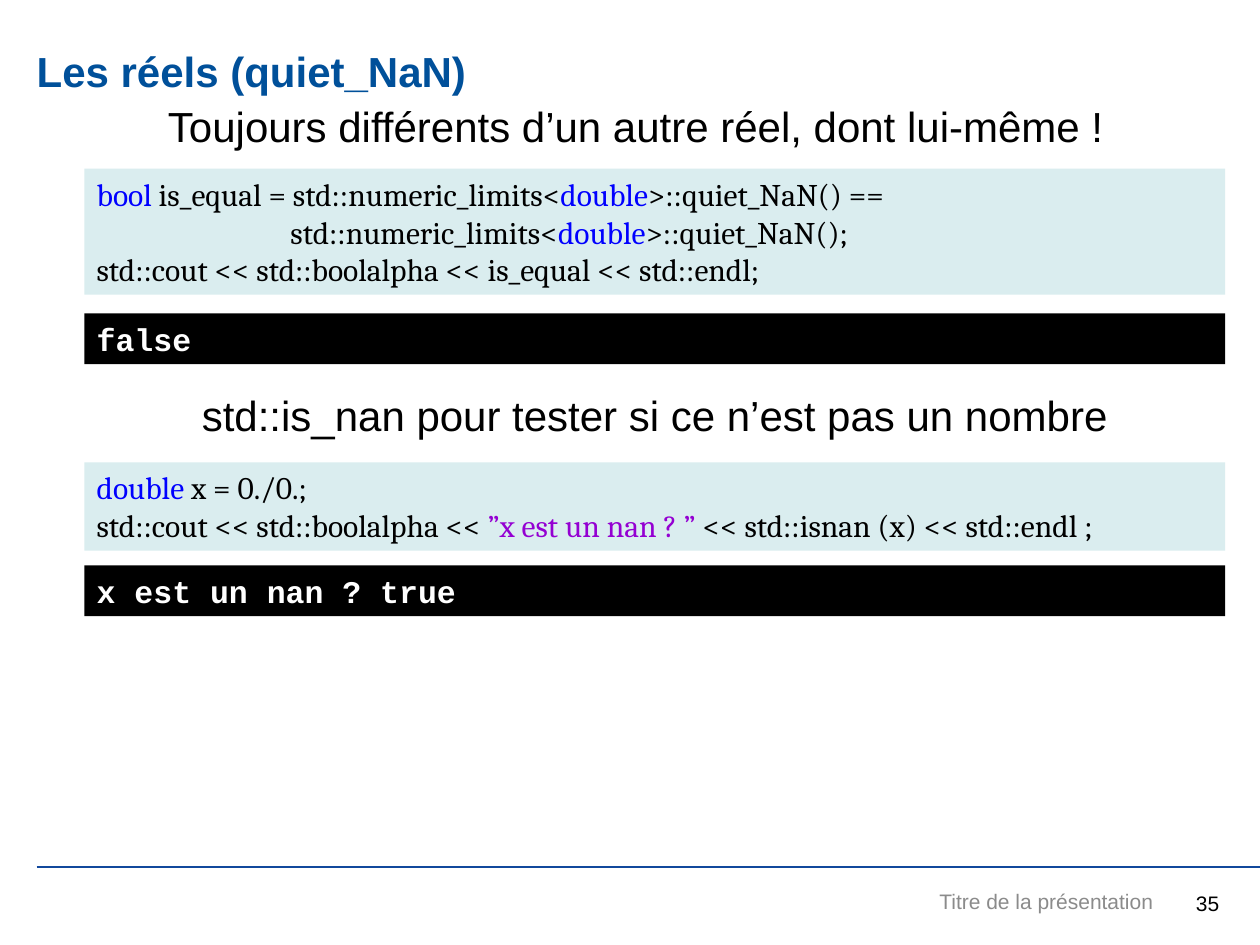
import pptx
import pptx.dml.color
import pptx.enum.shapes
import pptx.enum.text
import pptx.oxml.ns
import pptx.util
from lxml import etree

Cm = pptx.util.Cm
RGBColor = pptx.dml.color.RGBColor
ALIGN = pptx.enum.text.PP_ALIGN
ANCHOR = pptx.enum.text.MSO_ANCHOR

BLACK = RGBColor(0x00, 0x00, 0x00)
WHITE = RGBColor(0xFF, 0xFF, 0xFF)
TITLE_BLUE = RGBColor(0x00, 0x50, 0x9A)
RULE_BLUE = RGBColor(0x11, 0x48, 0x9C)
FOOTER_GREY = RGBColor(0x8B, 0x8B, 0x8B)
CODE_FILL = RGBColor(0xDA, 0xED, 0xEF)
KEYWORD = RGBColor(0x00, 0x00, 0xFF)
LITERAL = RGBColor(0x94, 0x00, 0xD2)

EQUALITY_CODE = [
    [("bool", KEYWORD), (" is_equal = std::numeric_limits<", BLACK),
     ("double", KEYWORD), (">::quiet_NaN() ==", BLACK)],
    [("                            std::numeric_limits<", BLACK),
     ("double", KEYWORD), (">::quiet_NaN();", BLACK)],
    [("std::cout << std::boolalpha << is_equal << std::endl;", BLACK)],
]
ISNAN_CODE = [
    [("double ", KEYWORD), ("x = 0./0.;", BLACK)],
    [("std::cout << std::boolalpha << ", BLACK), ("”x est un nan ? ” ", LITERAL),
     ("<< std::isnan (x) << std::endl ;", BLACK)],
]


def write_lines(frame, lines, size, font, bold=False, align=ALIGN.LEFT, anchor=ANCHOR.TOP):
    frame.word_wrap = True
    frame.vertical_anchor = anchor
    for index, line in enumerate(lines):
        paragraph = frame.paragraphs[0] if index == 0 else frame.add_paragraph()
        paragraph.alignment = align
        for text, color in line:
            run = paragraph.add_run()
            run.text = text
            run.font.size = pptx.util.Pt(size)
            run.font.name = font
            run.font.bold = bold
            run.font.color.rgb = color


def add_label(slide, box, text, size, color, inset=True, **style):
    frame = slide.shapes.add_textbox(*map(Cm, box)).text_frame
    if not inset:
        frame.margin_left = frame.margin_right = 0
        frame.margin_top = frame.margin_bottom = 0
    write_lines(frame, [[(text, color)]], size, "Arial", **style)


def add_panel(slide, box, fill, lines, font, bold=False):
    panel = slide.shapes.add_shape(pptx.enum.shapes.MSO_SHAPE.RECTANGLE, *map(Cm, box))
    panel.shadow.inherit = False
    panel.fill.solid()
    panel.fill.fore_color.rgb = fill
    panel.line.fill.background()
    write_lines(panel.text_frame, lines, 18, font, bold)
    panel.text_frame.auto_size = pptx.enum.text.MSO_AUTO_SIZE.SHAPE_TO_FIT_TEXT


def add_header(slide, left, top, width):
    add_label(slide, (left, top, width, 2.84), "Les réels (quiet_NaN)", 24, TITLE_BLUE,
              inset=False, bold=True, anchor=ANCHOR.MIDDLE)
    add_label(slide, (left, top + 2.03, width - 0.25, 1.19),
              "Toujours différents d’un autre réel, dont lui-même !", 24, BLACK,
              inset=False, align=ALIGN.CENTER)


def add_example(slide, left, top, width, code, code_height, output, output_offset):
    add_panel(slide, (left, top, width, code_height), CODE_FILL, code, "Cambria")
    add_panel(slide, (left, top + output_offset, width, 1.02), BLACK,
              [[(output, WHITE)]], "Courier New", bold=True)


def add_footer(slide, left, top, right):
    rule = slide.shapes.add_connector(
        pptx.enum.shapes.MSO_CONNECTOR.STRAIGHT, Cm(left), Cm(top), Cm(right), Cm(top))
    rule.line.color.rgb = RULE_BLUE
    rule.line.width = pptx.util.Pt(0.75)
    etree.SubElement(rule._element.spPr, pptx.oxml.ns.qn("a:effectLst"))
    add_label(slide, (right - 2.11, top - 0.13, 2.11, 1.7), "35", 12, BLACK,
              align=ALIGN.CENTER, anchor=ANCHOR.MIDDLE)
    add_label(slide, (right - 17.5, top + 0.18, 15.6, 1.02), "Titre de la présentation",
              12, FOOTER_GREY, align=ALIGN.RIGHT, anchor=ANCHOR.MIDDLE)


def main():
    presentation = pptx.Presentation()
    presentation.slide_width = Cm(25.4)
    presentation.slide_height = Cm(19.05)
    slide = presentation.slides.add_slide(presentation.slide_layouts[6])
    left, width = 1.7, 23
    add_footer(slide, 0.74, 17.48, 25.4)
    add_header(slide, 0.74, 0, 24.4)
    add_example(slide, left, 3.4, width, EQUALITY_CODE, 2.54, "false", 2.92)
    add_label(slide, (left, 7.72, width, 1.27),
              "std::is_nan pour tester si ce n’est pas un nombre", 24, BLACK,
              align=ALIGN.CENTER)
    add_example(slide, left, 9.32, width, ISNAN_CODE, 1.78, "x est un nan ? true", 2.08)
    presentation.save("out.pptx")


if __name__ == "__main__":
    main()
